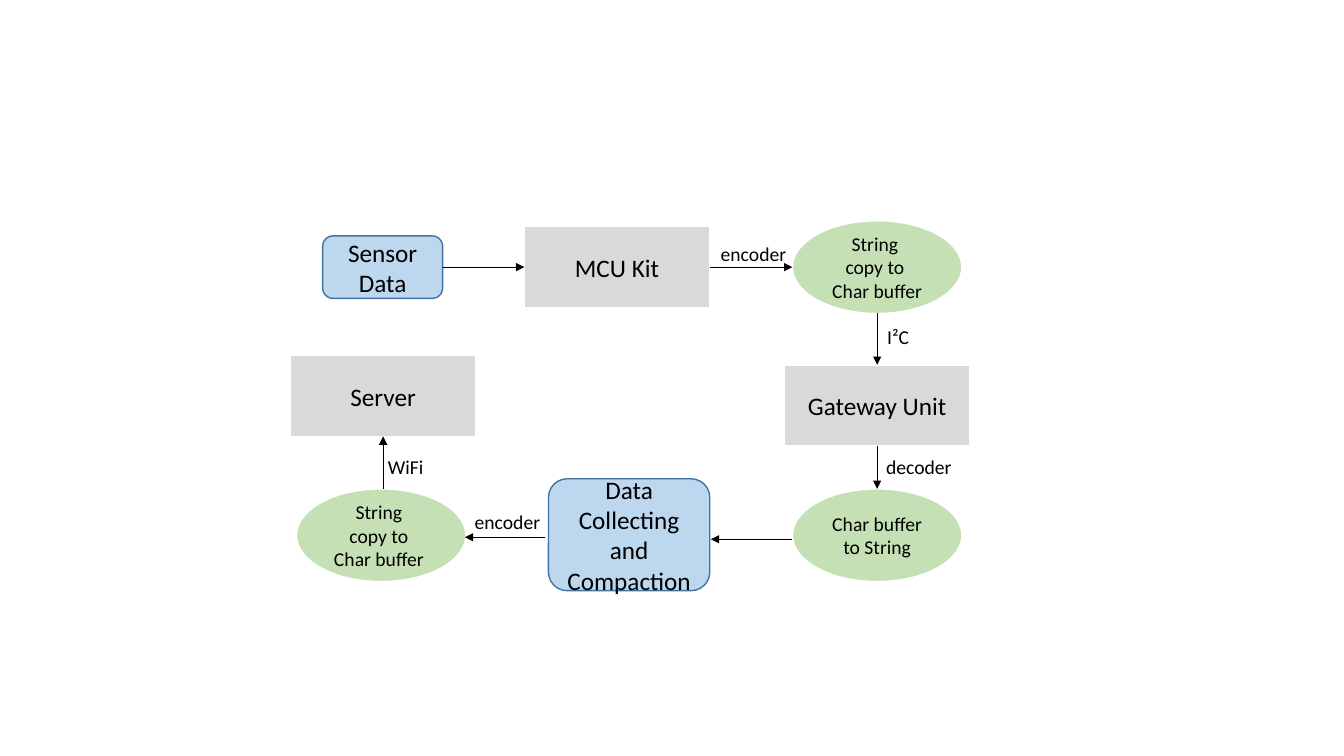
"""Build a slide showing how sensor data flows through two boards to a server."""
import pptx
import pptx.dml.color
import pptx.enum.shapes
import pptx.enum.text
import pptx.oxml
import pptx.util
from lxml import etree

BLACK = pptx.dml.color.RGBColor(0x00, 0x00, 0x00)
WHITE = pptx.dml.color.RGBColor(0xFF, 0xFF, 0xFF)
GREY = pptx.dml.color.RGBColor(0xD9, 0xD9, 0xD9)
BLUE = pptx.dml.color.RGBColor(0xBD, 0xD7, 0xEE)
DARK_BLUE = pptx.dml.color.RGBColor(0x43, 0x73, 0x9E)
GREEN = pptx.dml.color.RGBColor(0xC5, 0xE0, 0xB4)

PX = 9144
SHAPES = pptx.enum.shapes.MSO_SHAPE
TOP, LEFT, BOTTOM, RIGHT = range(4)


def write(frame, lines, size, alignment):
    """Put lines of text into a frame, one paragraph each."""
    frame.text = "\n".join(lines)
    for paragraph in frame.paragraphs:
        paragraph.alignment = alignment
        paragraph.font.name = "Calibri"
        paragraph.font.size = pptx.util.Pt(size)
        paragraph.font.color.rgb = BLACK


deck = pptx.Presentation()
deck.slide_width = 1333 * PX
deck.slide_height = 750 * PX
slide = deck.slides.add_slide(deck.slide_layouts[6])

STYLES = {
    "device": (SHAPES.RECTANGLE, GREY, WHITE, 18),
    "data": (SHAPES.ROUNDED_RECTANGLE, BLUE, DARK_BLUE, 18),
    "conversion": (SHAPES.OVAL, GREEN, WHITE, 14),
}
STEPS = [
    ("sensor", "data", 320, 234, 119, 62, ["Sensor Data"]),
    ("board", "device", 520, 225, 184, 80, ["MCU Kit"]),
    ("board copy", "conversion", 786, 219, 168, 92,
     ["String ", "copy to ", "Char buffer"]),
    ("gateway", "device", 778, 362, 184, 80, ["Gateway Unit"]),
    ("gateway read", "conversion", 786, 485, 168, 92, ["Char buffer to String"]),
    ("compaction", "data", 544, 475, 160, 111, ["Data Collecting and Compaction"]),
    ("gateway copy", "conversion", 294, 485, 168, 92,
     ["String ", "copy to ", "Char buffer "]),
    ("server", "device", 288, 353, 184, 80, ["Server"]),
]
steps = {}
for key, style, left, top, width, height, lines in STEPS:
    preset, fill, outline, size = STYLES[style]
    step = slide.shapes.add_shape(preset, left * PX, top * PX, width * PX, height * PX)
    step.shadow.inherit = False
    step.fill.solid()
    step.fill.fore_color.rgb = fill
    step.line.color.rgb = outline
    step.line.width = pptx.util.Pt(1)
    step.text_frame.vertical_anchor = pptx.enum.text.MSO_ANCHOR.MIDDLE
    write(step.text_frame, lines, size, pptx.enum.text.PP_ALIGN.CENTER)
    steps[key] = step

FLOWS = [
    (439, 265, 520, 265, ("sensor", RIGHT), ("board", LEFT)),
    (704, 265, 786, 265, ("board", RIGHT), None),
    (870, 311, 870, 362, None, ("gateway", TOP)),
    (870, 442, 870, 485, ("gateway", BOTTOM), None),
    (786, 535, 705, 535, None, None),
    (541, 533, 461, 533, None, None),
    (380, 485, 380, 433, None, ("server", BOTTOM)),
]
for x1, y1, x2, y2, source, target in FLOWS:
    flow = slide.shapes.add_connector(
        pptx.enum.shapes.MSO_CONNECTOR.STRAIGHT, x1 * PX, y1 * PX, x2 * PX, y2 * PX)
    if source:
        flow.begin_connect(steps[source[0]], source[1])
    if target:
        flow.end_connect(steps[target[0]], target[1])
    flow.line.color.rgb = BLACK
    flow.line.width = pptx.util.Pt(0.5)
    etree.SubElement(flow.line._get_or_add_ln(), pptx.oxml.ns.qn("a:tailEnd"), type="triangle")
    etree.SubElement(flow._element.spPr, pptx.oxml.ns.qn("a:effectLst"))

LABELS = [
    ("encoder", 705, 235, 86),
    ("I²C", 870, 317, 42),
    ("decoder", 869, 446, 86),
    ("encoder", 461, 501, 86),
    ("WiFi", 375, 446, 56),
]
for wording, left, top, width in LABELS:
    label = slide.shapes.add_textbox(left * PX, top * PX, width * PX, 34 * PX)
    label.text_frame.word_wrap = False
    label.text_frame.auto_size = pptx.enum.text.MSO_AUTO_SIZE.SHAPE_TO_FIT_TEXT
    write(label.text_frame, [wording], 14, pptx.enum.text.PP_ALIGN.LEFT)

deck.save("out.pptx")
